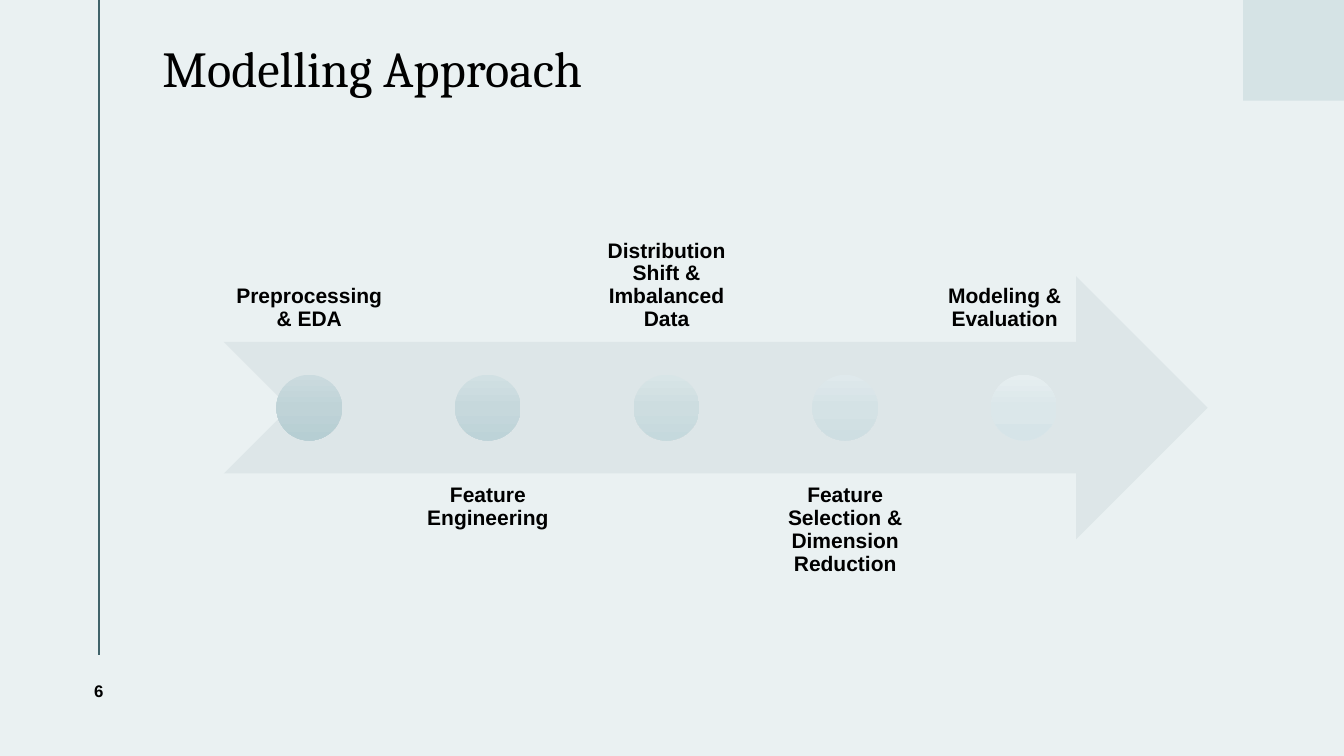
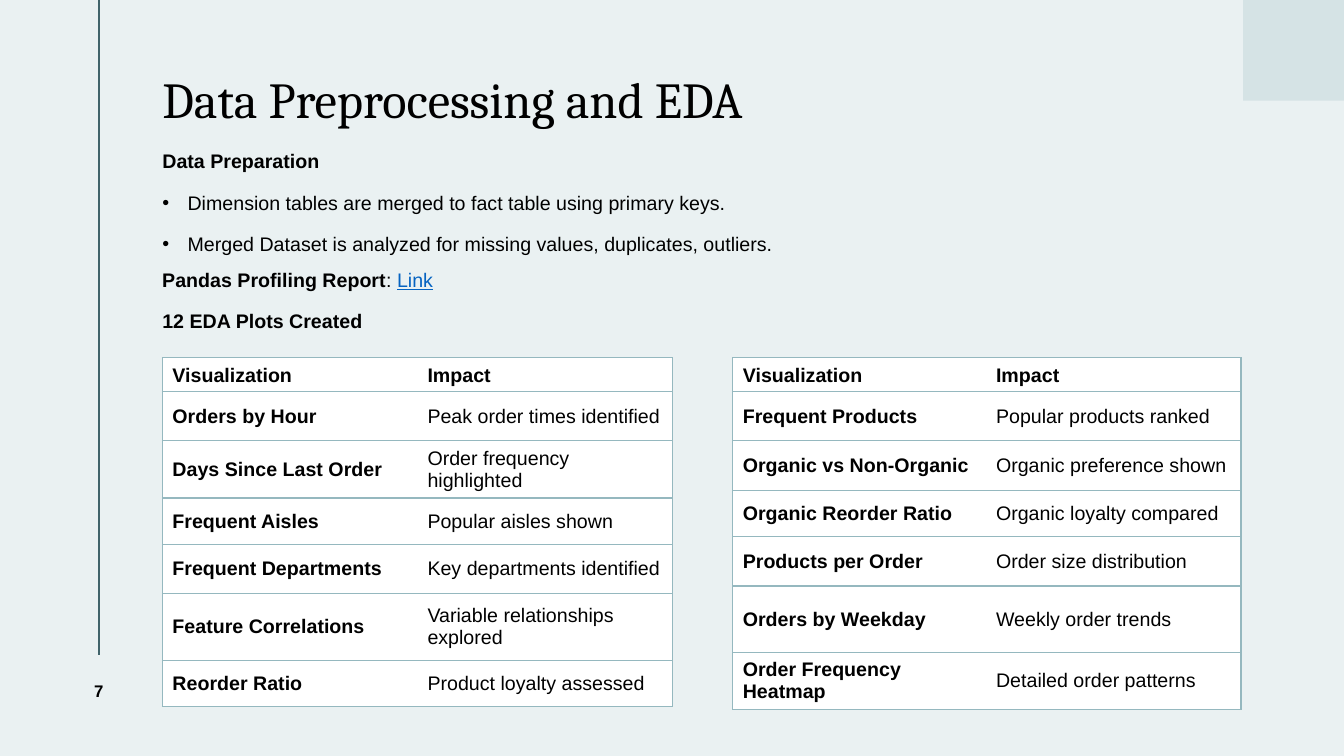
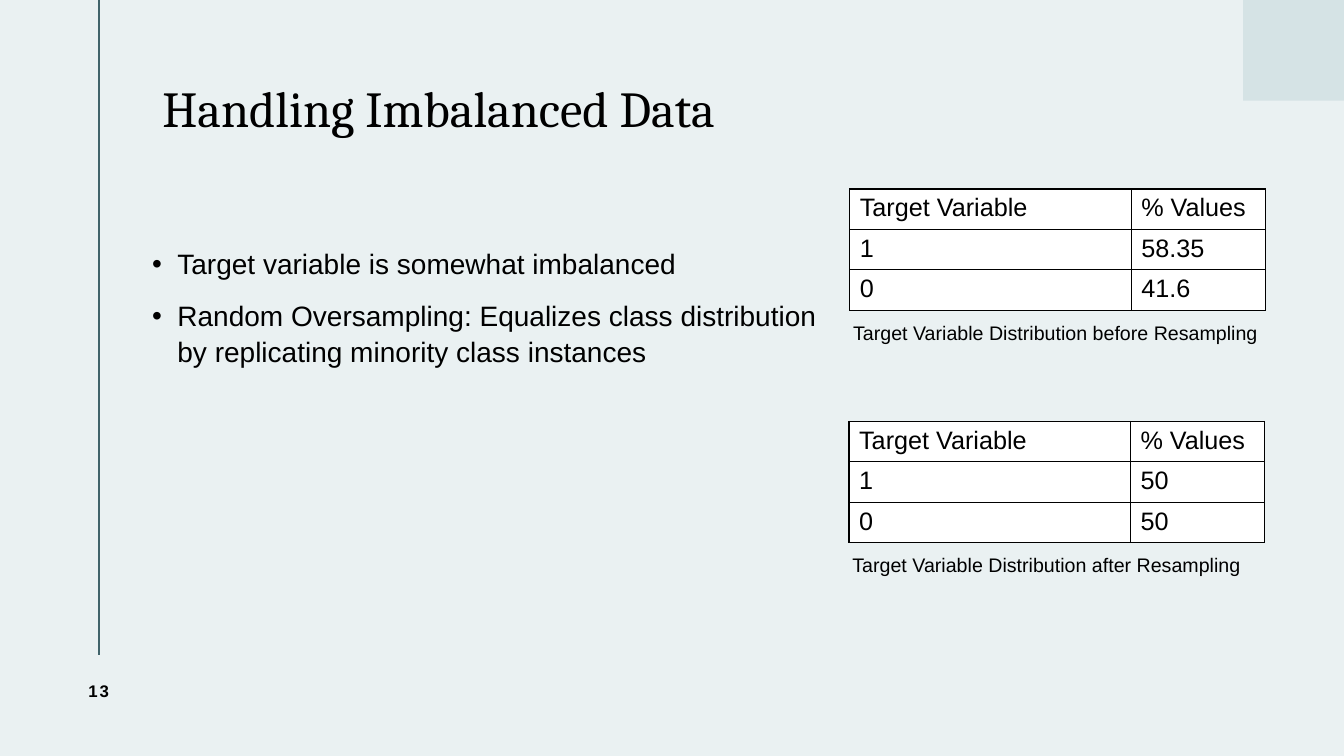
import dataclasses
import copy

import pptx
import pptx.dml.color
import pptx.enum.shapes
import pptx.enum.text
import pptx.oxml
import pptx.oxml.ns
import pptx.util
from lxml import etree

Pt = pptx.util.Pt
qn = pptx.oxml.ns.qn
Anchor = pptx.enum.text.MSO_ANCHOR
Align = pptx.enum.text.PP_ALIGN
Preset = pptx.enum.shapes.MSO_SHAPE

COLORS = {
    "background": "EAF1F2",
    "corner": "D5E3E5",
    "rule": "40636A",
    "arrow": "DDE6E8",
    "text": "000000",
    "link": "0563C1",
    "cell": "FFFFFF",
    "plot_border": "95B8BF",
    "target_border": "000000",
}
BODY_FONT = "Arial"
TITLE_FONT = "Cambria"
MARGIN = 116
BULLET_INDENT = 18
NO_INSETS = (0, 0, 0, 0)
DEFAULT_INSETS = (7.2, 3.6, 7.2, 3.6)
EDGES = ("L", "R", "T", "B")


@dataclasses.dataclass(frozen=True)
class Box:
    left: float
    top: float
    width: float
    height: float

    def lengths(self) -> tuple:
        return Pt(self.left), Pt(self.top), Pt(self.width), Pt(self.height)


@dataclasses.dataclass(frozen=True)
class TextStyle:
    size: float = 14
    bold: bool = False
    font: str = BODY_FONT
    color: str = "text"
    underline: bool = False
    align: Align = Align.LEFT
    anchor: Anchor = Anchor.TOP
    insets: tuple[float, ...] = DEFAULT_INSETS
    line_spacing: float = 1.0
    space_after: float = 0
    wrap: bool = True


@dataclasses.dataclass(frozen=True)
class Stage:
    label: str
    gradient: tuple[str, str, str]
    label_shift: float = 0


@dataclasses.dataclass(frozen=True)
class TableStyle:
    size: float
    border: str
    inner_vertical: bool
    bold_labels: bool


@dataclasses.dataclass(frozen=True)
class TargetTable:
    left: float
    top: float
    row_height: float
    shares: tuple[str, str]
    caption: str
    caption_top: float


TITLE = TextStyle(36, font=TITLE_FONT, anchor=Anchor.MIDDLE,
                  insets=(0, 3.6, 7.2, 3.6), line_spacing=0.9)
NUMBER = TextStyle(12, bold=True, align=Align.CENTER, anchor=Anchor.MIDDLE)
BODY = TextStyle(14, insets=NO_INSETS, line_spacing=1.05, space_after=12)
HEADING = dataclasses.replace(BODY, bold=True)
LARGE_BODY = dataclasses.replace(BODY, size=20)
STAGE_ABOVE = TextStyle(15, bold=True, align=Align.CENTER, anchor=Anchor.BOTTOM,
                        insets=(8.6, 8.6, 8.6, 8.6), line_spacing=0.9)
STAGE_BELOW = dataclasses.replace(STAGE_ABOVE, anchor=Anchor.TOP)
PLAIN = TextStyle(14)
CAPTION = TextStyle(14, wrap=False)
LINK = TextStyle(14, color="link", underline=True)

PLOT_TABLE = TableStyle(14, "plot_border", inner_vertical=False, bold_labels=True)
TARGET_TABLE = TableStyle(18, "target_border", inner_vertical=True, bold_labels=False)

STAGES = [
    Stage("Preprocessing & EDA", ("CBDBDF", "BFD3D7", "B6CED3")),
    Stage("Feature Engineering", ("D1E0E3", "C6D8DC", "BDD3D8")),
    Stage("Distribution Shift & Imbalanced Data", ("D8E5E7", "CDDDE0", "C5D9DD")),
    Stage("Feature Selection & Dimension Reduction", ("DFE9EC", "D4E2E5", "CEDEE2")),
    Stage("Modeling & Evaluation", ("E6EEF0", "DBE7EA", "D6E4E8"), label_shift=-13.7),
]

PLOT_HEADER = ("Visualization", "Impact")
PLOT_ROW_HEIGHTS = (21, 35.3, 35.3, 33.1, 35.3, 47.5, 33.1)
LEFT_PLOTS = [
    PLOT_HEADER,
    ("Orders by Hour", "Peak order times identified"),
    ("Days Since Last Order", "Order frequency highlighted"),
    ("Frequent Aisles", "Popular aisles shown"),
    ("Frequent Departments", "Key departments identified"),
    ("Feature Correlations", "Variable relationships explored"),
    ("Reorder Ratio", "Product loyalty assessed"),
]
RIGHT_PLOTS = [
    PLOT_HEADER,
    ("Frequent Products", "Popular products ranked"),
    ("Organic vs Non-Organic", "Organic preference shown"),
    ("Organic Reorder Ratio", "Organic loyalty compared"),
    ("Products per Order", "Order size distribution"),
    ("Orders by Weekday", "Weekly order trends"),
    ("Order Frequency Heatmap", "Detailed order patterns"),
]
TARGET_TABLES = [
    TargetTable(607, 135, 27.4, ("58.35", "41.6"),
                "Target Variable Distribution before Resampling", 225.4),
    TargetTable(606.5, 301, 28.8, ("50", "50"),
                "Target Variable Distribution after Resampling", 391.7),
]


def rgb(value: str) -> pptx.dml.color.RGBColor:
    return pptx.dml.color.RGBColor.from_string(value)


def style_run(run, style: TextStyle) -> None:
    font = run.font
    font.name = style.font
    font.size = Pt(style.size)
    font.bold = style.bold
    if style.underline:
        font.underline = True
    font.color.rgb = rgb(COLORS[style.color])


def add_text(slide, box: Box, lines: list[str], style: TextStyle):
    shape = slide.shapes.add_textbox(*box.lengths())
    frame = shape.text_frame
    frame.word_wrap = style.wrap
    frame.vertical_anchor = style.anchor
    (frame.margin_left, frame.margin_top,
     frame.margin_right, frame.margin_bottom) = map(Pt, style.insets)
    frame.text = "\n".join(lines)
    for paragraph in frame.paragraphs:
        paragraph.alignment = style.align
        paragraph.line_spacing = style.line_spacing
        paragraph.space_after = Pt(style.space_after)
        for run in paragraph.runs:
            style_run(run, style)
    return shape


def add_bullet(paragraph) -> None:
    properties = paragraph._p.get_or_add_pPr()
    properties.set("marL", str(Pt(BULLET_INDENT)))
    properties.set("indent", str(-Pt(BULLET_INDENT)))
    etree.SubElement(properties, qn("a:buFont")).set("typeface", BODY_FONT)
    etree.SubElement(properties, qn("a:buChar")).set("char", "•")


def add_filled_shape(slide, preset: Preset, box: Box, color: str):
    shape = slide.shapes.add_shape(preset, *box.lengths())
    shape.shadow.inherit = False
    shape.line.fill.background()
    shape.fill.solid()
    shape.fill.fore_color.rgb = rgb(color)
    return shape


def apply_gradient(shape, colors: tuple[str, ...]) -> None:
    """Blend the colours evenly from the top of the shape to its bottom."""
    fill = shape.fill
    fill.gradient()
    fill.gradient_angle = 270
    stop_list = shape.element.find(".//" + qn("a:gsLst"))
    while len(stop_list) < len(colors):
        stop_list.insert(1, copy.deepcopy(stop_list[0]))
    for index, (stop, color) in enumerate(zip(fill.gradient_stops, colors)):
        stop.position = index / (len(colors) - 1)
        stop.color.rgb = rgb(color)


def set_borders(cell, color: str, hidden: set[str]) -> None:
    properties = cell._tc.get_or_add_tcPr()
    for index, edge in enumerate(EDGES):
        line = etree.Element(qn(f"a:ln{edge}"), w=str(Pt(1)))
        if edge in hidden:
            etree.SubElement(line, qn("a:noFill"))
        else:
            fill = etree.SubElement(line, qn("a:solidFill"))
            etree.SubElement(fill, qn("a:srgbClr")).set("val", color)
        properties.insert(index, line)


def add_table(slide, left: float, top: float, widths: tuple[float, ...],
              heights: tuple[float, ...], rows: list[tuple[str, ...]],
              style: TableStyle) -> None:
    box = Box(left, top, sum(widths), sum(heights))
    table = slide.shapes.add_table(len(rows), len(widths), *box.lengths()).table
    table.first_row = False
    table.horz_banding = False
    for column, width in zip(table.columns, widths):
        column.width = Pt(width)
    for row, height in zip(table.rows, heights):
        row.height = Pt(height)
    for row_index, values in enumerate(rows):
        for column_index, value in enumerate(values):
            cell = table.cell(row_index, column_index)
            cell.text = value
            if style.bold_labels:
                cell.vertical_anchor = Anchor.MIDDLE if row_index else Anchor.BOTTOM
            bold = style.bold_labels and (row_index == 0 or column_index == 0)
            style_run(cell.text_frame.paragraphs[0].runs[0], TextStyle(style.size, bold))
            cell.fill.solid()
            cell.fill.fore_color.rgb = rgb(COLORS["cell"])
            hidden = set()
            if not style.inner_vertical:
                hidden = {"L"} if column_index else {"R"}
            set_borders(cell, COLORS[style.border], hidden)


def add_slide(presentation, title: str, title_box: Box, number: int):
    """Add a slide with the shared rule, corner square, title and number."""
    slide = presentation.slides.add_slide(presentation.slide_layouts[6])
    rule = slide.shapes.add_connector(pptx.enum.shapes.MSO_CONNECTOR.STRAIGHT,
                                      Pt(70.6), Pt(0), Pt(70.6), Pt(468))
    rule.line.color.rgb = rgb(COLORS["rule"])
    rule.line.width = Pt(1.5)
    etree.SubElement(rule.element.spPr, qn("a:effectLst"))
    add_filled_shape(slide, Preset.RECTANGLE, Box(888, 0, 72, 72), COLORS["corner"])
    add_text(slide, title_box, [title], TITLE)
    number_shape = add_text(slide, Box(32.4, 468, 76.3, 51), [str(number)], NUMBER)
    run = number_shape.text_frame.paragraphs[0].runs[0]
    run._r.get_or_add_rPr().set("spc", "150")
    return slide


def build_modelling_slide(presentation) -> None:
    slide = add_slide(presentation, "Modelling Approach", Box(MARGIN, -5, 720.7, 112.3), 6)
    add_filled_shape(slide, Preset.NOTCHED_RIGHT_ARROW,
                     Box(160, 197.3, 702.7, 187.9), COLORS["arrow"])
    dot_size, first_dot, step = 47, 197.4, 127.6
    label_width, label_height = 121.7, 187.9
    for index, stage in enumerate(STAGES):
        dot_left = first_dot + index * step
        label_left = dot_left + (dot_size - label_width) / 2 + stage.label_shift
        below = index % 2 == 1
        add_text(slide, Box(label_left, 337.7 if below else 56.9, label_width, label_height),
                 [stage.label], STAGE_BELOW if below else STAGE_ABOVE)
        dot = add_filled_shape(slide, Preset.OVAL, Box(dot_left, 267.7, dot_size, dot_size),
                               stage.gradient[0])
        apply_gradient(dot, stage.gradient)


def build_preprocessing_slide(presentation) -> None:
    slide = add_slide(presentation, "Data Preprocessing and EDA",
                      Box(MARGIN, 39.6, 720.7, 66.2), 7)
    preparation = add_text(slide, Box(MARGIN, 105.8, 558.7, 106.6), [
        "Data Preparation",
        "Dimension tables are merged to fact table using primary keys.",
        "Merged Dataset is analyzed for missing values, duplicates, outliers.",
    ], BODY)
    heading, *bullets = preparation.text_frame.paragraphs
    style_run(heading.runs[0], HEADING)
    for paragraph in bullets:
        add_bullet(paragraph)

    report = add_text(slide, Box(MARGIN - 7.2, 188, 274.3, 24.5),
                      ["Pandas Profiling Report"], TextStyle(14, bold=True))
    for text, style in ((": ", PLAIN), ("Link", LINK)):
        run = report.text_frame.paragraphs[0].add_run()
        run.text = text
        style_run(run, style)

    add_text(slide, Box(MARGIN, 219.6, 558.7, 106.6), ["12 EDA Plots Created"], HEADING)
    for left, widths, rows in ((MARGIN, (182.2, 182.2), LEFT_PLOTS),
                               (523.4, (180.9, 182.2), RIGHT_PLOTS)):
        add_table(slide, left, 255.6, widths, PLOT_ROW_HEIGHTS, rows, PLOT_TABLE)


def build_imbalance_slide(presentation) -> None:
    slide = add_slide(presentation, "Handling Imbalanced Data",
                      Box(MARGIN, 39.6, 720.7, 79.2), 13)
    body = add_text(slide, Box(108.7, 175, 488.2, 159.8), [
        "Target variable is somewhat imbalanced",
        "Random Oversampling: Equalizes class distribution "
        "by replicating minority class instances",
    ], LARGE_BODY)
    for paragraph in body.text_frame.paragraphs:
        add_bullet(paragraph)
    for target in TARGET_TABLES:
        rows = [("Target Variable", "% Values"), *zip(("1", "0"), target.shares)]
        add_table(slide, target.left, target.top, (201, 96),
                  (target.row_height,) * len(rows), rows, TARGET_TABLE)
        add_text(slide, Box(target.left - 4.7, target.caption_top, 306, 24.5),
                 [target.caption], CAPTION)


def main() -> None:
    presentation = pptx.Presentation()
    presentation.slide_width = Pt(960)
    presentation.slide_height = Pt(540)
    background = presentation.slide_master.background.fill
    background.solid()
    background.fore_color.rgb = rgb(COLORS["background"])
    build_modelling_slide(presentation)
    build_preprocessing_slide(presentation)
    build_imbalance_slide(presentation)
    presentation.save("out.pptx")


if __name__ == "__main__":
    main()
